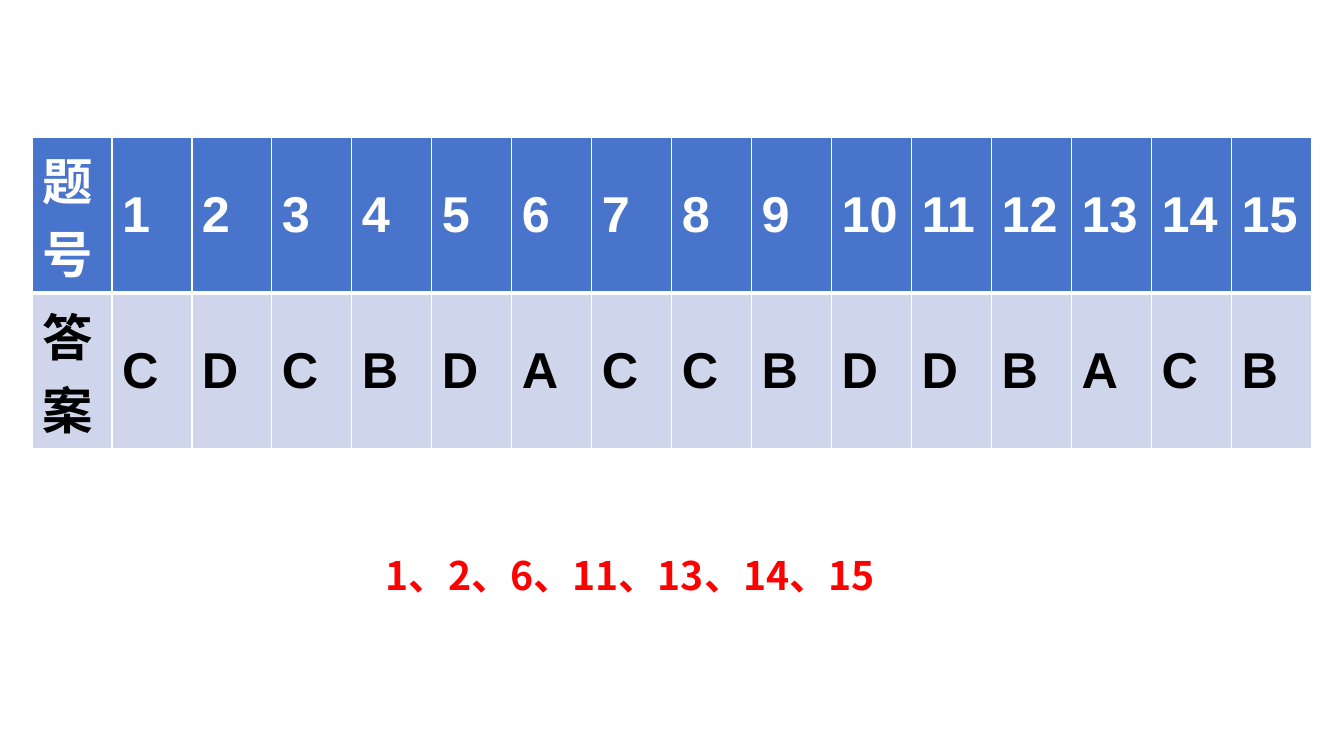
import lxml.etree
import pptx
import pptx.dml.color
import pptx.enum.text
import pptx.oxml.ns
import pptx.util

EMU_PER_PX = 914400 / 100.8
COLORS = {
    "header": "4874CB",
    "body": "CFD6EC",
    "white": "FFFFFF",
    "black": "000000",
    "red": "FF0000",
}
LATIN_FONT = "Arial"
CHINESE_FONT = "Noto Sans CJK SC"
ANSWERS = "CDCBDACCBDDBACB"


def px(length):
    return pptx.util.Emu(round(length * EMU_PER_PX))


def rgb(name):
    return pptx.dml.color.RGBColor.from_string(COLORS[name])


def add_element(parent, tag, **attributes):
    return lxml.etree.SubElement(parent, pptx.oxml.ns.qn(tag), attributes)


def format_text(paragraph, size, font_name, color):
    for run in paragraph.runs:
        run.font.size = pptx.util.Pt(size)
        run.font.bold = True
        run.font.name = font_name
        run.font.color.rgb = rgb(color)
        add_element(run.font._element, "a:ea", typeface=CHINESE_FONT)


def set_borders(cell, widths):
    """Draw white borders; widths are points for left, right, top, bottom."""
    properties = cell._tc.get_or_add_tcPr()
    for side, width in zip("LRTB", widths):
        line = add_element(properties, f"a:ln{side}", w=str(pptx.util.Pt(width)))
        fill = add_element(line, "a:solidFill")
        add_element(fill, "a:srgbClr", val=COLORS["white"])


def fill_row(table, row, texts, fill, color, border_widths):
    for column, text in enumerate(texts):
        cell = table.cell(row, column)
        set_borders(cell, border_widths)
        cell.fill.solid()
        cell.fill.fore_color.rgb = rgb(fill)
        cell.vertical_anchor = pptx.enum.text.MSO_ANCHOR.MIDDLE
        cell.text_frame.text = text
        format_text(cell.text_frame.paragraphs[0], 36, LATIN_FONT, color)


def add_answer_table(slide, left, top, column_width, row_height):
    numbers = ["题号"] + [str(number + 1) for number in range(len(ANSWERS))]
    answers = ["答案", *ANSWERS]
    count = len(numbers)
    frame = slide.shapes.add_table(
        2, count, px(left), px(top), px(column_width * count), px(row_height * 2)
    )
    table = frame.table
    for column in table.columns:
        column.width = px(column_width)
    for row in table.rows:
        row.height = px(row_height)
    fill_row(table, 0, numbers, "header", "white", (1, 1, 1, 3))
    fill_row(table, 1, answers, "body", "black", (1, 1, 3, 1))


def add_note(slide, text, left, top, width, height):
    box = slide.shapes.add_textbox(px(left), px(top), px(width), px(height))
    frame = box.text_frame
    frame.word_wrap = True
    frame.auto_size = pptx.enum.text.MSO_AUTO_SIZE.SHAPE_TO_FIT_TEXT
    frame.text = text
    paragraph = frame.paragraphs[0]
    paragraph.line_spacing = 1.3
    format_text(paragraph, 28, CHINESE_FONT, "red")


def main():
    presentation = pptx.Presentation()
    presentation.slide_width = px(1344)
    presentation.slide_height = px(756)
    slide = presentation.slides.add_slide(presentation.slide_layouts[6])

    # Answer key
    add_answer_table(slide, 32, 137, 80, 149)

    # Questions to go over
    add_note(slide, "1、2、6、11、13、14、15", 376, 532, 1113, 72)

    presentation.save("out.pptx")


if __name__ == "__main__":
    main()
